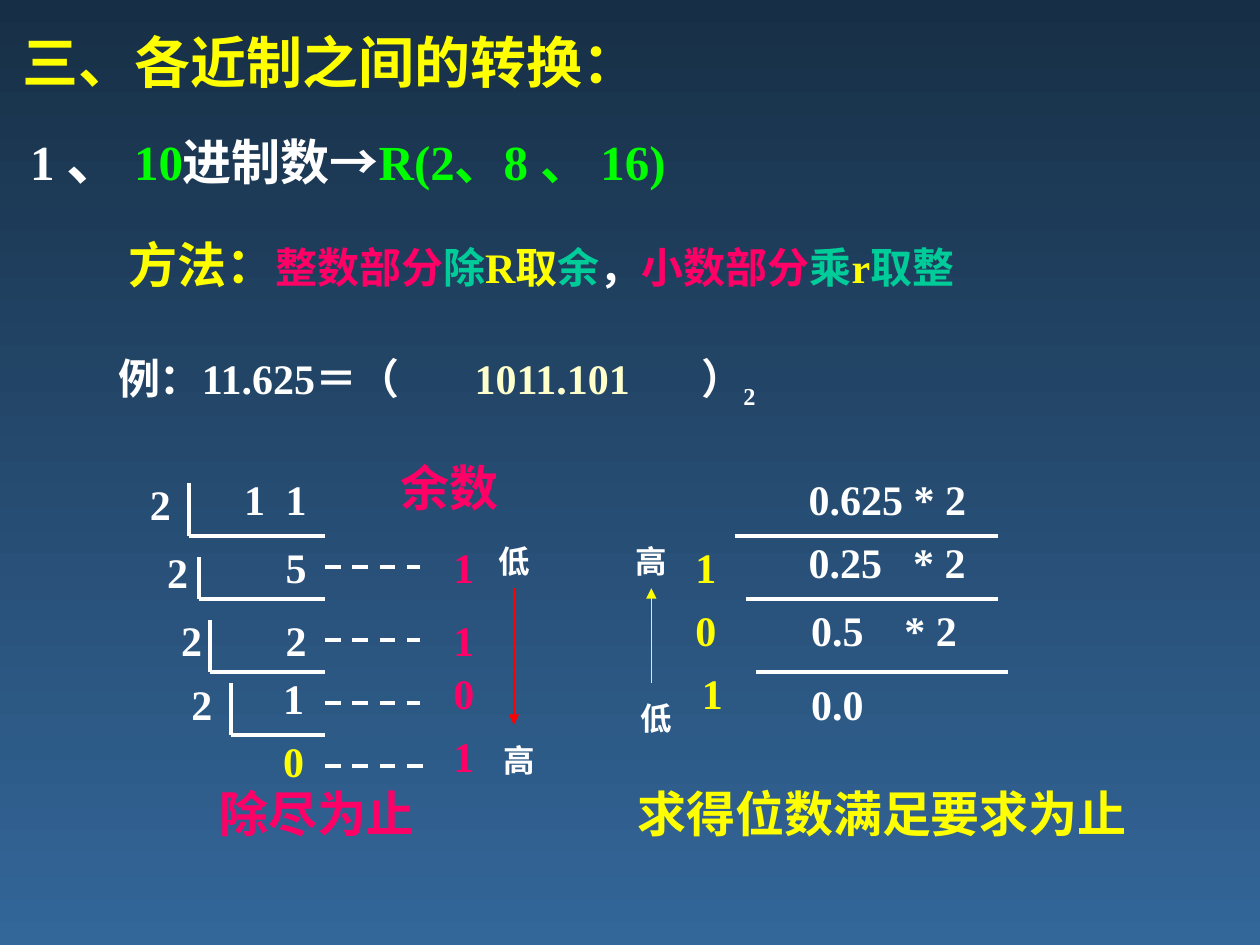
from dataclasses import dataclass
from typing import NamedTuple, Optional

from lxml.etree import SubElement
from pptx import Presentation
from pptx.dml.color import RGBColor as Rgb
from pptx.enum.dml import MSO_LINE_DASH_STYLE as Dash
from pptx.enum.shapes import MSO_CONNECTOR as Connector
from pptx.enum.text import PP_ALIGN as Align
from pptx.oxml.ns import qn
from pptx.util import Cm, Pt


@dataclass(frozen=True)
class Theme:
    font: str = "Times New Roman"
    top: str = "172F46"
    bottom: str = "336699"
    white: str = "FFFFFF"
    yellow: str = "FFFF00"
    green: str = "00FF00"
    teal: str = "00CC99"
    pink: str = "FF0066"
    cream: str = "FFFFCC"
    red: str = "FF0000"
    title: int = 32
    heading: int = 28
    body: int = 24
    label: int = 18
    rule: float = 2.25
    arrow: float = 0.75


THEME = Theme()


class Span(NamedTuple):
    text: str
    color: str = THEME.white
    size: int = THEME.body
    subscript: bool = False


class Division(NamedTuple):
    """One step of the short division: divisor, bracket and dividend."""
    divisor_x: float
    divisor_y: float
    bracket_x: float
    bracket_top: float
    bracket_bottom: float
    dividend: str
    dividend_x: float
    dividend_y: float


class Remainder(NamedTuple):
    digit: str
    y: float
    dash_y: float
    dash_end: float = 8.46


class Product(NamedTuple):
    text: str
    x: float
    y: float
    tab: Optional[float] = None


class Digit(NamedTuple):
    text: str
    x: float
    y: float


class Rule(NamedTuple):
    start: float
    end: float
    y: float


class Direction(NamedTuple):
    """An arrow between a label above and a label below."""
    x: float
    upper: str
    lower: str
    lower_y: float
    arrow_x: float
    arrow_from: float
    arrow_to: float
    color: str


DIVIDEND_END = 6.55
DIVISIONS = [
    Division(2.77, 9.53, 3.81, 9.73, 10.8, "1\t1", 4.67, 9.42),
    Division(3.12, 10.9, 4.01, 11.23, 12.07, "5", 5.51, 10.8),
    Division(3.4, 12.27, 4.24, 12.5, 13.55, "2", 5.51, 12.27),
    Division(3.61, 13.55, 4.65, 13.77, 14.82, "1", 5.46, 13.44),
]
REMAINDERS = [
    Remainder("1", 10.8, 11.43),
    Remainder("1", 12.27, 12.9),
    Remainder("0", 13.34, 14.17),
    Remainder("1", 14.61, 15.44, 8.69),
]
PRODUCTS = [
    Product("0.625 * 2", 16.05, 9.42),
    Product("0.25\t* 2", 16.05, 10.69, 2.11),
    Product("0.5\t* 2", 16.1, 12.07, 1.88),
    Product("0.0", 16.1, 13.55),
]
PRODUCT_RULES = [Rule(14.81, 20.12, 10.8), Rule(15.04, 20.12, 12.07), Rule(15.24, 20.32, 13.55)]
INTEGER_DIGITS = [Digit("1", 13.77, 10.8), Digit("0", 13.77, 12.07), Digit("1", 13.9, 13.34)]
DIRECTIONS = [
    Direction(9.73, "低", "高", 14.81, 10.36, 11.86, 14.61, THEME.red),
    Direction(12.5, "高", "低", 13.97, 13.13, 13.77, 11.86, THEME.yellow),
]


def add_text(slide, *spans: Span, x: float, y: float, width: float = 1.2, height: float = 1.27,
             align=Align.LEFT, spacing: Optional[float] = None, tab: Optional[float] = None) -> None:
    frame = slide.shapes.add_textbox(Cm(x), Cm(y), Cm(width), Cm(height)).text_frame
    frame.word_wrap = True
    paragraph = frame.paragraphs[0]
    if tab is not None:
        tabs = SubElement(paragraph._p.get_or_add_pPr(), qn("a:tabLst"))
        SubElement(tabs, qn("a:tab"), pos=str(Cm(tab)), algn="l")
    paragraph.alignment = align
    if spacing is not None:
        paragraph.line_spacing = spacing
    for span in spans:
        run = paragraph.add_run()
        run.text = span.text
        run.font.name = THEME.font
        run.font.size = Pt(span.size)
        run.font.bold = True
        run.font.color.rgb = Rgb.from_string(span.color)
        if span.subscript:
            run._r.get_or_add_rPr().set("baseline", "-25000")


def add_line(slide, x1: float, y1: float, x2: float, y2: float, color: str = THEME.white,
             weight: float = THEME.rule, dashed: bool = False, arrow: bool = False) -> None:
    line = slide.shapes.add_connector(Connector.STRAIGHT, Cm(x1), Cm(y1), Cm(x2), Cm(y2))
    line.line.color.rgb = Rgb.from_string(color)
    line.line.width = Pt(weight)
    if dashed:
        line.line.dash_style = Dash.DASH
    if arrow:
        SubElement(line.line._get_or_add_ln(), qn("a:tailEnd"), type="triangle")
    SubElement(line._element.spPr, qn("a:effectLst"))


def paint_background(slide) -> None:
    fill = slide.background.fill
    fill.gradient()
    fill.gradient_angle = 270
    for stop, color in zip(fill.gradient_stops, (THEME.top, THEME.bottom)):
        stop.color.rgb = Rgb.from_string(color)


def add_headings(slide) -> None:
    t = THEME
    add_text(slide, Span("三、各近制之间的转换：", t.yellow, t.title), x=0.2, y=0.43, width=24.13, height=1.63)
    add_text(slide, Span("1 ", size=t.heading), Span("、", size=t.title), Span(" ", size=t.heading),
             Span("10", t.green, t.heading), Span("进制数→", size=t.heading),
             Span("R(2、8 、 16)", t.green, t.heading), x=0.36, y=2.39, width=18, height=1.63)
    add_text(slide, Span("方法：", t.yellow, t.heading), Span("整数部分", t.pink), Span("除", t.teal),
             Span("R取", t.yellow), Span("余", t.teal), Span("，"), Span("小数部分", t.pink),
             Span("乘", t.teal), Span("r", t.yellow), Span("取整", t.teal),
             x=2.34, y=4.24, width=23.06, height=3.12, spacing=1.3)
    add_text(slide, Span("例：11.625＝（\t）"), Span("2", subscript=True),
             x=2.13, y=6.99, width=15, height=1.42, tab=11.76)
    add_text(slide, Span("1011.101", t.cream), x=9.32, y=6.99, width=4)


def add_integer_part(slide) -> None:
    for step in DIVISIONS:
        add_text(slide, Span("2"), x=step.divisor_x, y=step.divisor_y)
        add_line(slide, step.bracket_x, step.bracket_top, step.bracket_x, step.bracket_bottom)
        add_line(slide, step.bracket_x, step.bracket_bottom, DIVIDEND_END, step.bracket_bottom)
        add_text(slide, Span(step.dividend), x=step.dividend_x, y=step.dividend_y, width=2, tab=0.84)
    add_text(slide, Span("0", THEME.yellow), x=5.46, y=14.71)
    add_text(slide, Span("余数", THEME.pink, THEME.heading), x=7.82, y=9.09, width=2.8, height=1.45)
    for remainder in REMAINDERS:
        add_line(slide, DIVIDEND_END, remainder.dash_y, remainder.dash_end, remainder.dash_y, dashed=True)
        add_text(slide, Span(remainder.digit, THEME.pink), x=8.89, y=remainder.y)


def add_fraction_part(slide) -> None:
    for rule in PRODUCT_RULES:
        add_line(slide, rule.start, rule.y, rule.end, rule.y)
    for product in PRODUCTS:
        add_text(slide, Span(product.text), x=product.x, y=product.y, width=4, tab=product.tab)
    for digit in INTEGER_DIGITS:
        add_text(slide, Span(digit.text, THEME.yellow), x=digit.x, y=digit.y)


def add_direction(slide, way: Direction) -> None:
    for text, y, width in ((way.upper, 10.8, 1.27), (way.lower, way.lower_y, 1.47)):
        add_text(slide, Span(text, size=THEME.label), x=way.x, y=y, width=width, height=1.02, align=Align.CENTER)
    add_line(slide, way.arrow_x, way.arrow_from, way.arrow_x, way.arrow_to,
             color=way.color, weight=THEME.arrow, arrow=True)


def main() -> None:
    deck = Presentation()
    deck.slide_width, deck.slide_height = Cm(25.4), Cm(19.05)
    slide = deck.slides.add_slide(deck.slide_layouts[6])
    paint_background(slide)
    add_headings(slide)
    add_integer_part(slide)
    add_fraction_part(slide)
    for way in DIRECTIONS:
        add_direction(slide, way)
    add_text(slide, Span("除尽为止\t", THEME.pink, THEME.heading),
             Span("求得位数满足要求为止", THEME.yellow, THEME.heading),
             x=4.17, y=15.67, width=20.16, height=1.45, tab=8.43)
    deck.save("out.pptx")


if __name__ == "__main__":
    main()
